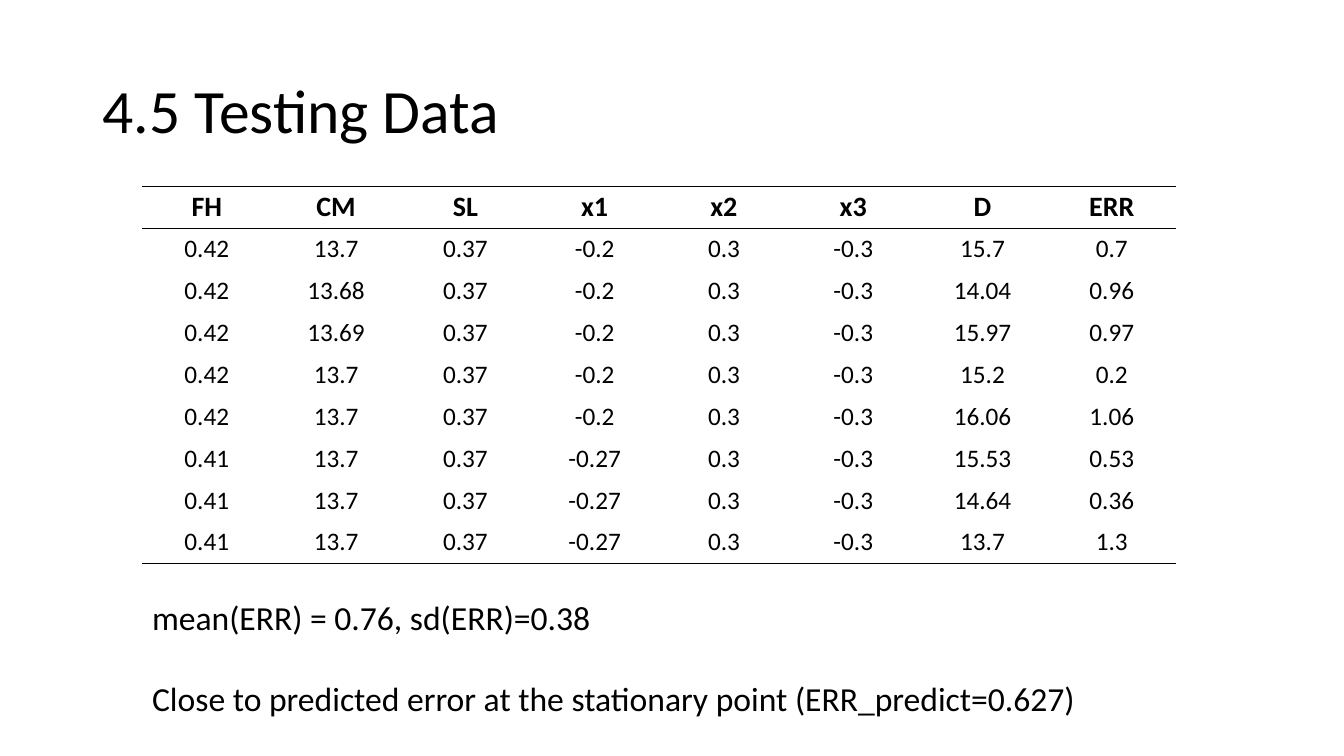
from dataclasses import dataclass

from lxml import etree
from pptx import Presentation
from pptx.dml.color import RGBColor
from pptx.enum.text import MSO_ANCHOR, PP_ALIGN
from pptx.oxml.ns import qn
from pptx.util import Inches, Pt

LEFT, CENTER = PP_ALIGN.LEFT, PP_ALIGN.CENTER
TOP, MIDDLE = MSO_ANCHOR.TOP, MSO_ANCHOR.MIDDLE


@dataclass(frozen=True)
class Theme:
    font: str = "Calibri"
    ink: str = "000000"
    paper: str = "FFFFFF"
    title: int = 44
    note: int = 24
    header: int = 20
    body: int = 18
    rule: int = 1


theme = Theme()


def write(tf, text, size, bold=False, align=LEFT, anchor=TOP, line=None, gap=0):
    """Write one paragraph per line of text, with gap points between them."""
    tf.word_wrap = True
    tf.vertical_anchor = anchor
    for i, words in enumerate(text.split("\n")):
        p = tf.add_paragraph() if i else tf.paragraphs[0]
        p.alignment = align
        p.line_spacing = line
        p.space_before = Pt(gap if i else 0)
        r = p.add_run()
        r.text = words
        r.font.name = theme.font
        r.font.size = Pt(size)
        r.font.bold = bold
        r.font.color.rgb = RGBColor.from_string(theme.ink)


def set_borders(cell, top, bottom):
    """Draw the chosen horizontal rules of a cell and clear its other edges."""
    tcPr = cell._tc.get_or_add_tcPr()
    edges = {"a:lnL": False, "a:lnR": False, "a:lnT": top, "a:lnB": bottom}
    for i, (tag, shown) in enumerate(edges.items()):
        ln = etree.Element(qn(tag), w=str(Pt(theme.rule)))
        if shown:
            fill = etree.SubElement(ln, qn("a:solidFill"))
            etree.SubElement(fill, qn("a:srgbClr"), val=theme.ink)
        else:
            etree.SubElement(ln, qn("a:noFill"))
        tcPr.insert(i, ln)


prs = Presentation()
prs.slide_width, prs.slide_height = Inches(13.33), Inches(7.5)
s = prs.slides.add_slide(prs.slide_layouts[6])
s.background.fill.solid()
s.background.fill.fore_color.rgb = RGBColor.from_string(theme.paper)

# Title
title = s.shapes.add_textbox(Inches(0.92), Inches(0.4), Inches(11.5), Inches(1.45))
write(title.text_frame, "4.5 Testing Data", theme.title, anchor=MIDDLE, line=0.9)

# Table of test runs
rows = [
    ("FH", "CM", "SL", "x1", "x2", "x3", "D", "ERR"),
    ("0.42", "13.7", "0.37", "-0.2", "0.3", "-0.3", "15.7", "0.7"),
    ("0.42", "13.68", "0.37", "-0.2", "0.3", "-0.3", "14.04", "0.96"),
    ("0.42", "13.69", "0.37", "-0.2", "0.3", "-0.3", "15.97", "0.97"),
    ("0.42", "13.7", "0.37", "-0.2", "0.3", "-0.3", "15.2", "0.2"),
    ("0.42", "13.7", "0.37", "-0.2", "0.3", "-0.3", "16.06", "1.06"),
    ("0.41", "13.7", "0.37", "-0.27", "0.3", "-0.3", "15.53", "0.53"),
    ("0.41", "13.7", "0.37", "-0.27", "0.3", "-0.3", "14.64", "0.36"),
    ("0.41", "13.7", "0.37", "-0.27", "0.3", "-0.3", "13.7", "1.3"),
]
table = s.shapes.add_table(len(rows), len(rows[0]), Inches(1.41), Inches(1.85),
                           Inches(10.26), Inches(3.74)).table
table.first_row = table.horz_banding = False
last = len(rows) - 1
for i, row in enumerate(rows):
    header = i == 0
    for j, value in enumerate(row):
        cell = table.cell(i, j)
        cell.margin_left = cell.margin_right = cell.margin_top = cell.margin_bottom = 0
        cell.vertical_anchor = MIDDLE
        cell.fill.background()
        set_borders(cell, top=i <= 1, bottom=i in (0, last))
        write(cell.text_frame, value, theme.header if header else theme.body,
              bold=header, align=CENTER, anchor=MIDDLE)

# Error summary
summary = s.shapes.add_textbox(Inches(1.41), Inches(5.87), Inches(11), Inches(1.31))
write(summary.text_frame,
      "mean(ERR) = 0.76, sd(ERR)=0.38\n"
      "Close to predicted error at the stationary point (ERR_predict=0.627)",
      theme.note, gap=29)

prs.save("out.pptx")
